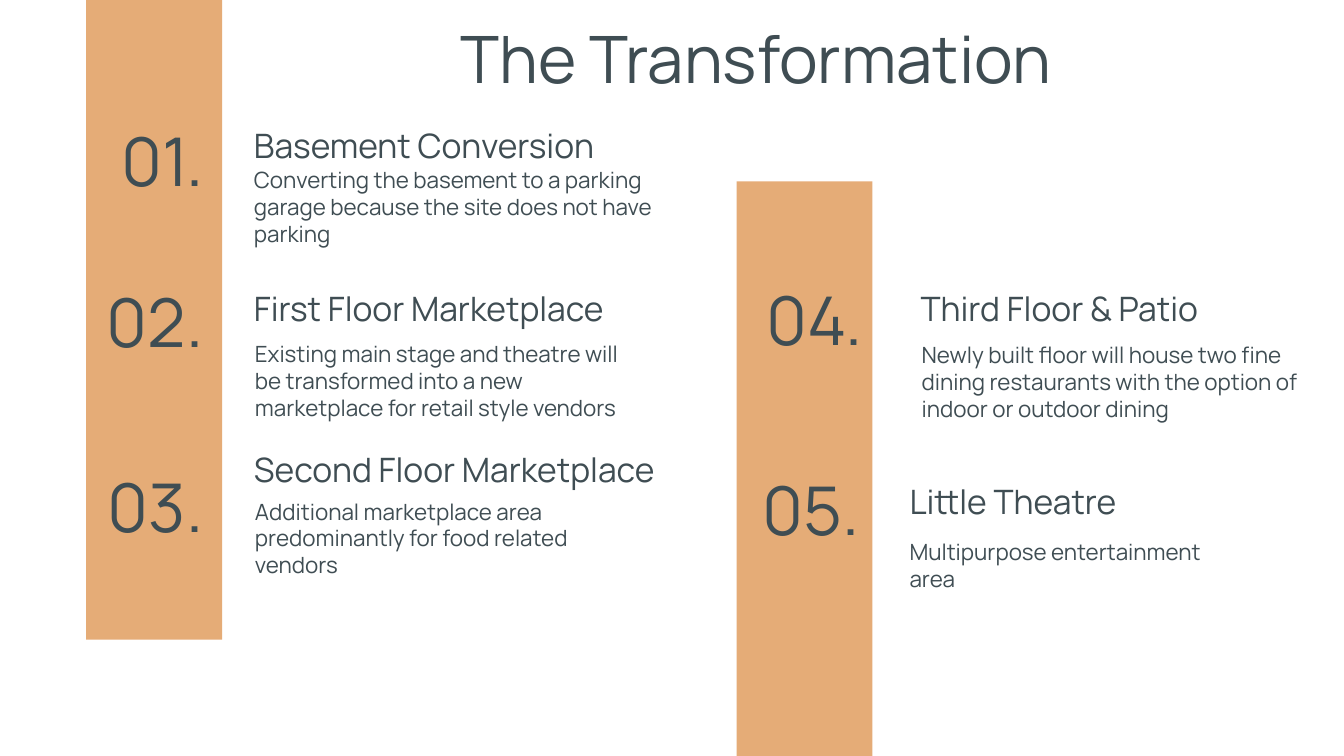
from pptx import Presentation
from pptx.dml.color import RGBColor
from pptx.enum.shapes import MSO_SHAPE
from pptx.enum.text import MSO_ANCHOR, PP_ALIGN
from pptx.util import Cm, Pt

RECT = MSO_SHAPE.RECTANGLE
LEFT, RIGHT = PP_ALIGN.LEFT, PP_ALIGN.RIGHT
MIDDLE, BOTTOM = MSO_ANCHOR.MIDDLE, MSO_ANCHOR.BOTTOM

FONT = "Manrope"
INK = RGBColor(0x3F, 0x4D, 0x53)
SAND = RGBColor(0xE5, 0xAC, 0x77)

WIDE, HIGH = 25.4, 14.29
BAR_W = 2.57
NUM_W, NUM_H = 3.66, 1.5
HEAD_H = 1.14

# left, top, height in cm
BARS = [(1.63, 0, 12.09), (13.92, 3.43, HIGH - 3.43)]

# number (left, top); heading (left, top, width), text;
# body (left, top, width, height), text, paragraph gap in points
STEPS = [
    ((0.43, 2.26), (4.55, 2.24, 7.8), "Basement Conversion",
     (4.55, 3.15, 8.13, 1.5),
     "Converting the basement to a parking garage because the site "
     "does not have parking", 12),
    ((0.43, 5.31), (4.55, 5.31, 8.13), "First Floor Marketplace",
     (4.57, 6.45, 7.75, 1.5),
     "Existing main stage and theatre will be transformed into a new "
     "marketplace for retail style vendors", 0),
    ((0.43, 8.81), (4.55, 8.36, 9.37), "Second Floor Marketplace",
     (4.57, 9.42, 6.86, 1.5),
     "Additional marketplace area predominantly for food related vendors", 0),
    ((12.9, 5.28), (17.15, 5.31, 8.25), "Third Floor & Patio",
     (17.17, 6.32, 7.95, 1.8),
     "Newly built floor will house two fine dining restaurants with "
     "the option of indoor or outdoor dining", 0),
    ((12.83, 8.86), (16.94, 8.97, 7.8), "Little Theatre",
     (16.94, 9.93, 6.86, 1.5),
     "Multipurpose entertainment area", 0),
]


def add_bar(slide, left, top, height):
    bar = slide.shapes.add_shape(RECT, Cm(left), Cm(top), Cm(BAR_W), Cm(height))
    bar.shadow.inherit = False
    bar.fill.solid()
    bar.fill.fore_color.rgb = SAND
    bar.line.fill.background()


def add_text(slide, box, text, size, align=LEFT, anchor=MIDDLE, gap=0):
    """Add one paragraph; box is left, top, width, height in cm."""
    frame = slide.shapes.add_textbox(*map(Cm, box)).text_frame
    frame.word_wrap = True
    frame.vertical_anchor = anchor
    frame.margin_left = frame.margin_right = Cm(0.25)
    frame.margin_top = frame.margin_bottom = Cm(0.25)
    para = frame.paragraphs[0]
    para.alignment = align
    para.space_before = para.space_after = Pt(gap)
    run = para.add_run()
    run.text = text
    run.font.name = FONT
    run.font.size = Pt(size)
    run.font.color.rgb = INK


def add_step(slide, num, spot, head_box, head, body_box, body, gap):
    add_text(slide, (*spot, NUM_W, NUM_H), f"{num:02}.", 36, align=RIGHT)
    add_text(slide, (*head_box, HEAD_H), head, 18, anchor=BOTTOM)
    add_text(slide, body_box, body, 12, gap=gap)


def main():
    deck = Presentation()
    deck.slide_width, deck.slide_height = Cm(WIDE), Cm(HIGH)
    slide = deck.slides.add_slide(deck.slide_layouts[6])
    for bar in BARS:
        add_bar(slide, *bar)
    for num, step in enumerate(STEPS, 1):
        add_step(slide, num, *step)
    add_text(slide, (4.19, 0.28, 15.95, 1.6), "The Transformation", 35, align=RIGHT)
    deck.save("out.pptx")


if __name__ == "__main__":
    main()
